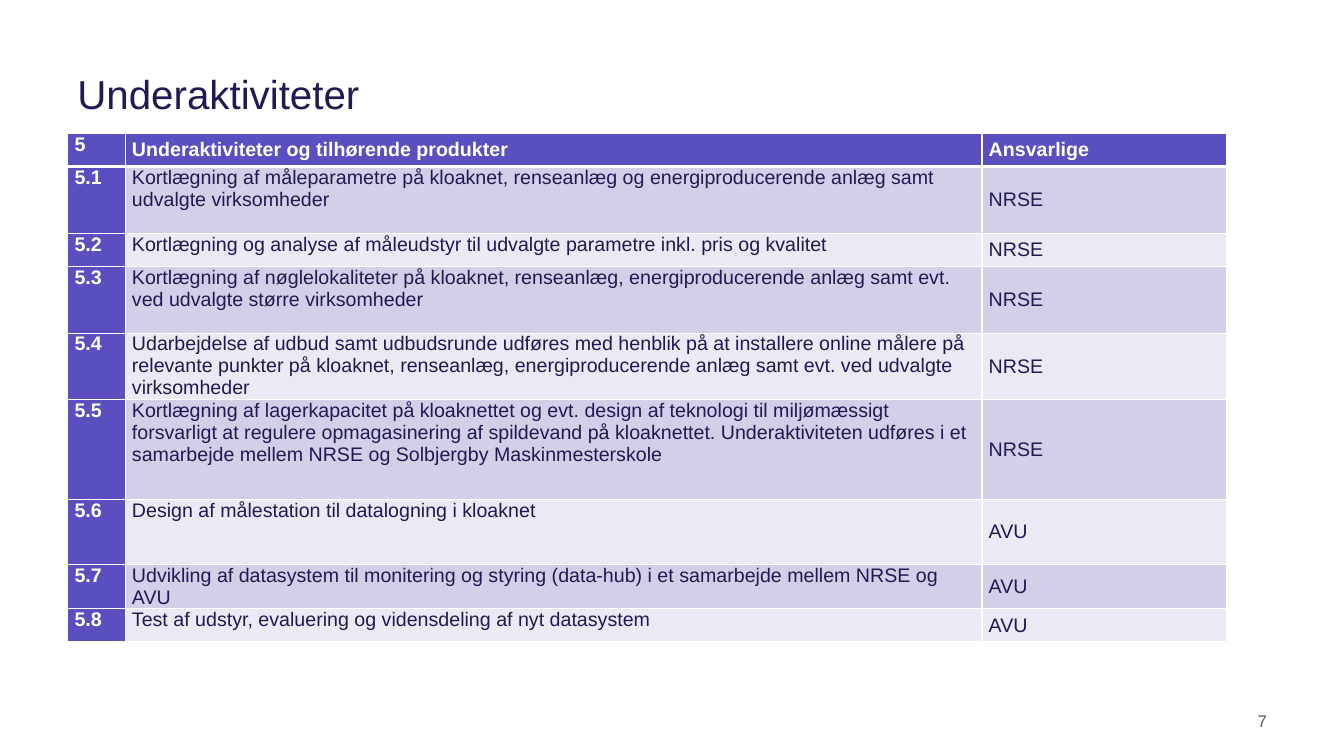
"""Build the slide that lists the sub-activities of work package 5."""
from dataclasses import dataclass

from lxml import etree
from pptx import Presentation
from pptx.dml.color import RGBColor
from pptx.enum.text import MSO_ANCHOR, PP_ALIGN
from pptx.oxml.ns import qn
from pptx.util import Pt

TOP, MIDDLE = MSO_ANCHOR.TOP, MSO_ANCHOR.MIDDLE
LEFT, RIGHT = PP_ALIGN.LEFT, PP_ALIGN.RIGHT

WHITE = RGBColor(0xFF, 0xFF, 0xFF)
NAVY = RGBColor(0x21, 0x1A, 0x52)
PURPLE = RGBColor(0x59, 0x4F, 0xBF)
LILAC = RGBColor(0xD1, 0xD0, 0xE8)
PALE = RGBColor(0xEA, 0xE9, 0xF4)
GREY = RGBColor(0x54, 0x61, 0x6E)

FONT = "Arial"
WIDTHS = (41, 612, 175)
UNIT = 23.8


@dataclass(frozen=True)
class Task:
    text: str
    owner: str
    height: float


TASKS = (
    Task("Kortlægning af måleparametre på kloaknet, renseanlæg og energiproducerende "
         "anlæg samt udvalgte virksomheder", "NRSE", 2 * UNIT),
    Task("Kortlægning og analyse af måleudstyr til udvalgte parametre inkl. pris og "
         "kvalitet", "NRSE", UNIT),
    Task("Kortlægning af nøglelokaliteter på kloaknet, renseanlæg, energiproducerende "
         "anlæg samt evt. ved udvalgte større virksomheder", "NRSE", 2 * UNIT),
    Task("Udarbejdelse af udbud samt udbudsrunde udføres med henblik på at installere "
         "online målere på relevante punkter på kloaknet, renseanlæg, "
         "energiproducerende anlæg samt evt. ved udvalgte virksomheder",
         "NRSE", 2 * UNIT),
    Task("Kortlægning af lagerkapacitet på kloaknettet og evt. design af teknologi til "
         "miljømæssigt forsvarligt at regulere opmagasinering af spildevand på "
         "kloaknettet. Underaktiviteten udføres i et samarbejde mellem NRSE og "
         "Solbjergby Maskinmesterskole", "NRSE", 3 * UNIT),
    Task("Design af målestation til datalogning i kloaknet", "AVU", 46.3),
    Task("Udvikling af datasystem til monitering og styring (data-hub) i et samarbejde "
         "mellem NRSE og AVU", "AVU", UNIT),
    Task("Test af udstyr, evaluering og vidensdeling af nyt datasystem", "AVU", UNIT),
)


def write(frame, text: str, size: float, color: RGBColor, bold: bool = False,
          align: PP_ALIGN = LEFT, after: float = 0) -> None:
    """Put one formatted paragraph into a text frame."""
    frame.text = text
    line = frame.paragraphs[0]
    line.alignment = align
    line.space_after = Pt(after)
    line.font.name = FONT
    line.font.size = Pt(size)
    line.font.bold = bold
    line.font.color.rgb = color


def edge(cell, side: str, width: float) -> None:
    """Draw a white border on one side of a cell."""
    props = cell._tc.get_or_add_tcPr()
    line = etree.SubElement(props, qn(f"a:ln{side}"), w=str(Pt(width)))
    fill = etree.SubElement(line, qn("a:solidFill"))
    etree.SubElement(fill, qn("a:srgbClr"), val=str(WHITE))


def paint(cell, row: int, col: int, text: str) -> None:
    """Fill, frame and label one table cell by its place."""
    head = row == 0
    strong = head or col == 0
    widths = {"L": 1, "R": 1, "T": 3 if row == 1 else 1, "B": 3 if head else 1}
    for side, width in widths.items():
        edge(cell, side, width)
    cell.fill.solid()
    cell.fill.fore_color.rgb = PURPLE if strong else LILAC if row % 2 else PALE
    cell.margin_left = cell.margin_right = Pt(4.9)
    cell.margin_top = cell.margin_bottom = Pt(0)
    cell.vertical_anchor = MIDDLE if col == 2 or (head and col == 1) else TOP
    after = 0 if head else (3, 6, 0)[col]
    write(cell.text_frame, text, 14, WHITE if strong else NAVY, strong, after=after)


def main() -> None:
    """Compose and save the slide."""
    deck = Presentation()
    deck.slide_width, deck.slide_height = Pt(960), Pt(540)
    slide = deck.slides.add_slide(deck.slide_layouts[5])

    title = slide.shapes.title
    title.left, title.top, title.width, title.height = Pt(48), Pt(21.6), Pt(864), Pt(90)
    title.text_frame.vertical_anchor = MIDDLE
    write(title.text_frame, "Underaktiviteter", 28.8, NAVY)

    rows = [("5", "Underaktiviteter og tilhørende produkter", "Ansvarlige")]
    rows += [(f"5.{n}", task.text, task.owner) for n, task in enumerate(TASKS, 1)]
    heights = [UNIT] + [task.height for task in TASKS]
    table = slide.shapes.add_table(len(rows), len(WIDTHS), Pt(48.4), Pt(95.2),
                                   Pt(sum(WIDTHS)), Pt(sum(heights))).table
    for col, width in enumerate(WIDTHS):
        table.columns[col].width = Pt(width)
    for row, (texts, height) in enumerate(zip(rows, heights)):
        table.rows[row].height = Pt(height)
        for col, text in enumerate(texts):
            paint(table.cell(row, col), row, col, text)

    page = slide.shapes.add_textbox(Pt(688), Pt(500.6), Pt(224), Pt(28.8)).text_frame
    page.word_wrap = True
    page.vertical_anchor = MIDDLE
    write(page, "7", 12, GREY, align=RIGHT)

    deck.save("out.pptx")


if __name__ == "__main__":
    main()
